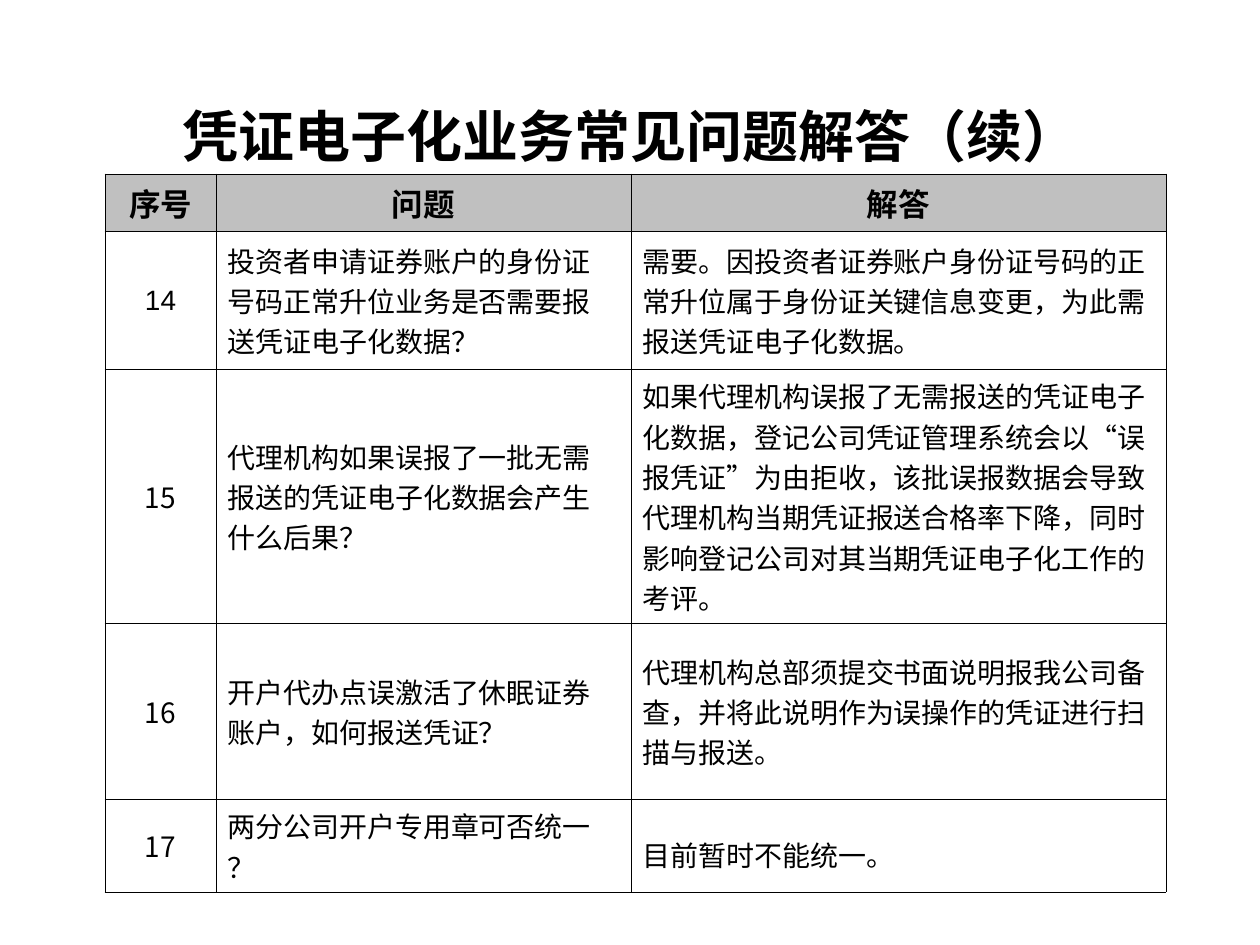
"""Build the slide of numbered questions and answers on electronic vouchers."""
from lxml.etree import SubElement
from pptx import Presentation
from pptx.dml.color import RGBColor
from pptx.enum.text import MSO_ANCHOR, MSO_AUTO_SIZE, PP_ALIGN
from pptx.oxml import parse_xml
from pptx.oxml.ns import nsdecls, qn
from pptx.util import Pt

TITLE = "凭证电子化业务常见问题解答（续）"
HEADERS = ["序号", "问题", "解答"]
ENTRIES = [
    ("14",
     ["投资者申请证券账户的身份证", "号码正常升位业务是否需要报", "送凭证电子化数据？"],
     ["需要。因投资者证券账户身份证号码的正", "常升位属于身份证关键信息变更，为此需",
      "报送凭证电子化数据。"]),
    ("15",
     ["代理机构如果误报了一批无需", "报送的凭证电子化数据会产生", "什么后果？"],
     ["如果代理机构误报了无需报送的凭证电子", "化数据，登记公司凭证管理系统会以“误",
      "报凭证”为由拒收，该批误报数据会导致", "代理机构当期凭证报送合格率下降，同时",
      "影响登记公司对其当期凭证电子化工作的", "考评。"]),
    ("16",
     ["开户代办点误激活了休眠证券", "账户，如何报送凭证？"],
     ["代理机构总部须提交书面说明报我公司备", "查，并将此说明作为误操作的凭证进行扫",
      "描与报送。"]),
    ("17",
     ["两分公司开户专用章可否统一", "？"],
     ["目前暂时不能统一。"]),
]

PX = 914400 / 126
SLIDE_SIZE = (1260, 945)
TITLE_BOX = {"left": 134, "top": 106, "width": 994, "height": 59}
TABLE_LEFT, TABLE_TOP = 105, 56
COLUMN_WIDTHS = [111, 415, 535]
ROW_HEIGHTS = [118, 50, 138, 214, 176, 84]
CELL_MARGINS = {"margin_left": 12, "margin_right": 12, "margin_top": 6, "margin_bottom": 6}
EAST_ASIAN = "Noto Sans CJK SC"
TITLE_FONT = {"name": "Arial", "size": Pt(32), "bold": True}
HEADER_FONT = {"name": "Times New Roman", "size": Pt(18), "bold": True}
BODY_FONT = {"name": "Arial", "size": Pt(16), "bold": False}
NUMBER_FONT = BODY_FONT | {"name": EAST_ASIAN}
PLAIN_STYLE = "{2D5ABB26-0587-4C30-8999-92F81FD0307C}"


def px(value):
    return round(value * PX)


def color(value):
    return RGBColor.from_string(value)


def apply(target, values):
    for name, value in values.items():
        setattr(target, name, value)


def add_run(paragraph, text, font):
    run = paragraph.add_run()
    run.text = text
    apply(run.font, font)
    run.font.color.rgb = color("000000")
    properties = run.font._element
    properties.set("lang", "zh-CN")
    SubElement(properties, qn("a:ea")).set("typeface", EAST_ASIAN)


def write_lines(frame, lines, font, alignment):
    for index, line in enumerate(lines):
        paragraph = frame.add_paragraph() if index else frame.paragraphs[0]
        paragraph.alignment = alignment
        add_run(paragraph, line, font)


def set_borders(cell, drawn_sides):
    properties = cell._tc.get_or_add_tcPr()
    for index, side in enumerate("LRTB"):
        fill = '<a:solidFill><a:srgbClr val="000000"/></a:solidFill>' if side in drawn_sides else "<a:noFill/>"
        properties.insert(index, parse_xml(f'<a:ln{side} {nsdecls("a")} w="5715">{fill}</a:ln{side}>'))


def fill_cell(cell, lines, font, alignment, background=None):
    write_lines(cell.text_frame, lines, font, alignment)
    cell.vertical_anchor = MSO_ANCHOR.MIDDLE
    apply(cell, {name: px(value) for name, value in CELL_MARGINS.items()})
    if background:
        cell.fill.solid()
        cell.fill.fore_color.rgb = color(background)
    else:
        cell.fill.background()
    set_borders(cell, "LRTB")


def add_title(slide):
    title = slide.shapes.title
    apply(title, {name: px(value) for name, value in TITLE_BOX.items()})
    frame = title.text_frame
    apply(frame, dict.fromkeys(CELL_MARGINS, 0))
    apply(frame, {"word_wrap": True, "auto_size": MSO_AUTO_SIZE.NONE, "vertical_anchor": MSO_ANCHOR.MIDDLE})
    write_lines(frame, [TITLE], TITLE_FONT, PP_ALIGN.CENTER)


def add_answer_table(slide):
    box = (TABLE_LEFT, TABLE_TOP, sum(COLUMN_WIDTHS), sum(ROW_HEIGHTS))
    table = slide.shapes.add_table(len(ROW_HEIGHTS), len(COLUMN_WIDTHS), *map(px, box)).table
    apply(table, {"first_row": False, "horz_banding": False})
    table._tbl.tblPr.find(qn("a:tableStyleId")).text = PLAIN_STYLE
    for column, width in zip(table.columns, COLUMN_WIDTHS):
        column.width = px(width)
    for row, height in zip(table.rows, ROW_HEIGHTS):
        row.height = px(height)

    table.cell(0, 0).merge(table.cell(0, len(COLUMN_WIDTHS) - 1))
    for cell in table.rows[0].cells:
        cell.fill.background()
        set_borders(cell, "B")
    for cell, header in zip(table.rows[1].cells, HEADERS):
        fill_cell(cell, [header], HEADER_FONT, PP_ALIGN.CENTER, "C0C0C0")
    for row_index, (number, question, answer) in enumerate(ENTRIES, 2):
        number_font = BODY_FONT if row_index == 2 else NUMBER_FONT
        number_cell, question_cell, answer_cell = table.rows[row_index].cells
        fill_cell(number_cell, [number], number_font, PP_ALIGN.CENTER)
        fill_cell(question_cell, question, BODY_FONT, PP_ALIGN.LEFT)
        fill_cell(answer_cell, answer, BODY_FONT, PP_ALIGN.LEFT)
    add_run(answer_cell.text_frame.paragraphs[-1], " ", BODY_FONT | {"size": Pt(28)})


def main():
    presentation = Presentation()
    presentation.slide_width, presentation.slide_height = map(px, SLIDE_SIZE)
    slide = presentation.slides.add_slide(presentation.slide_layouts[5])
    add_title(slide)
    add_answer_table(slide)
    presentation.save("out.pptx")


if __name__ == "__main__":
    main()
